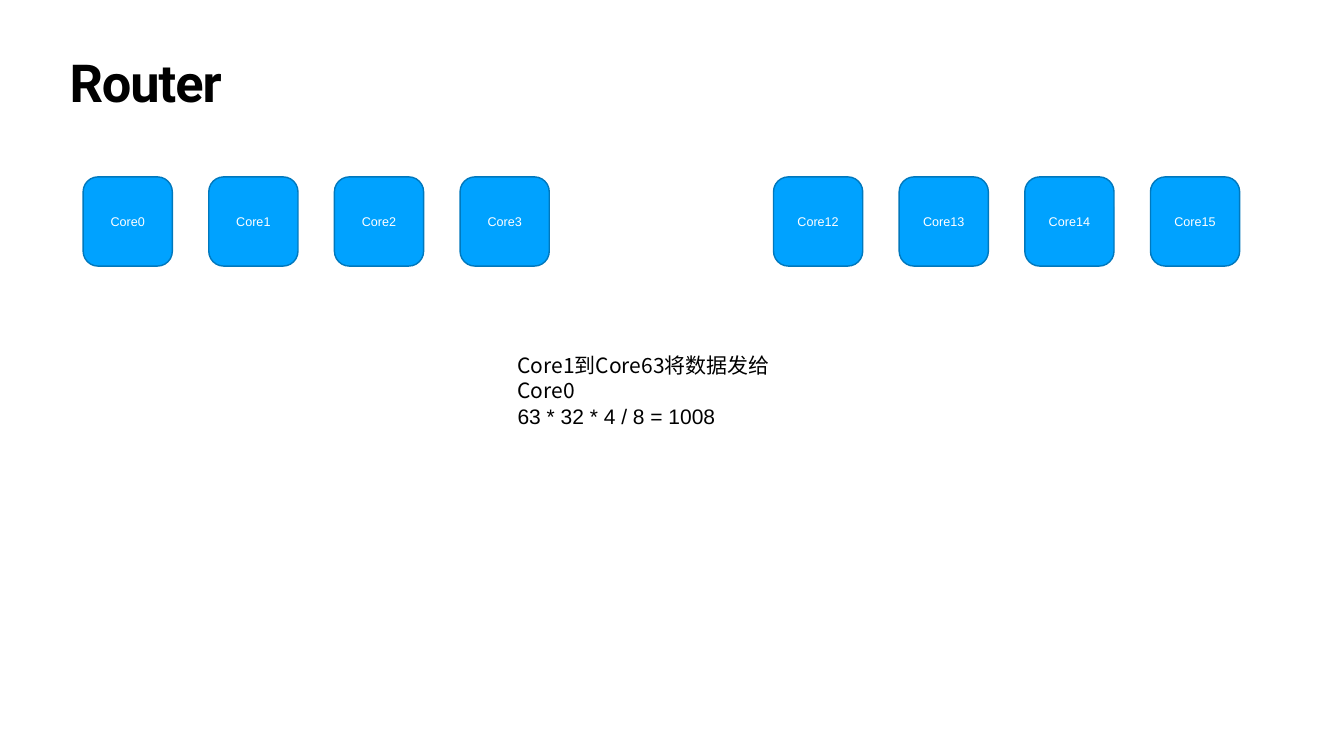
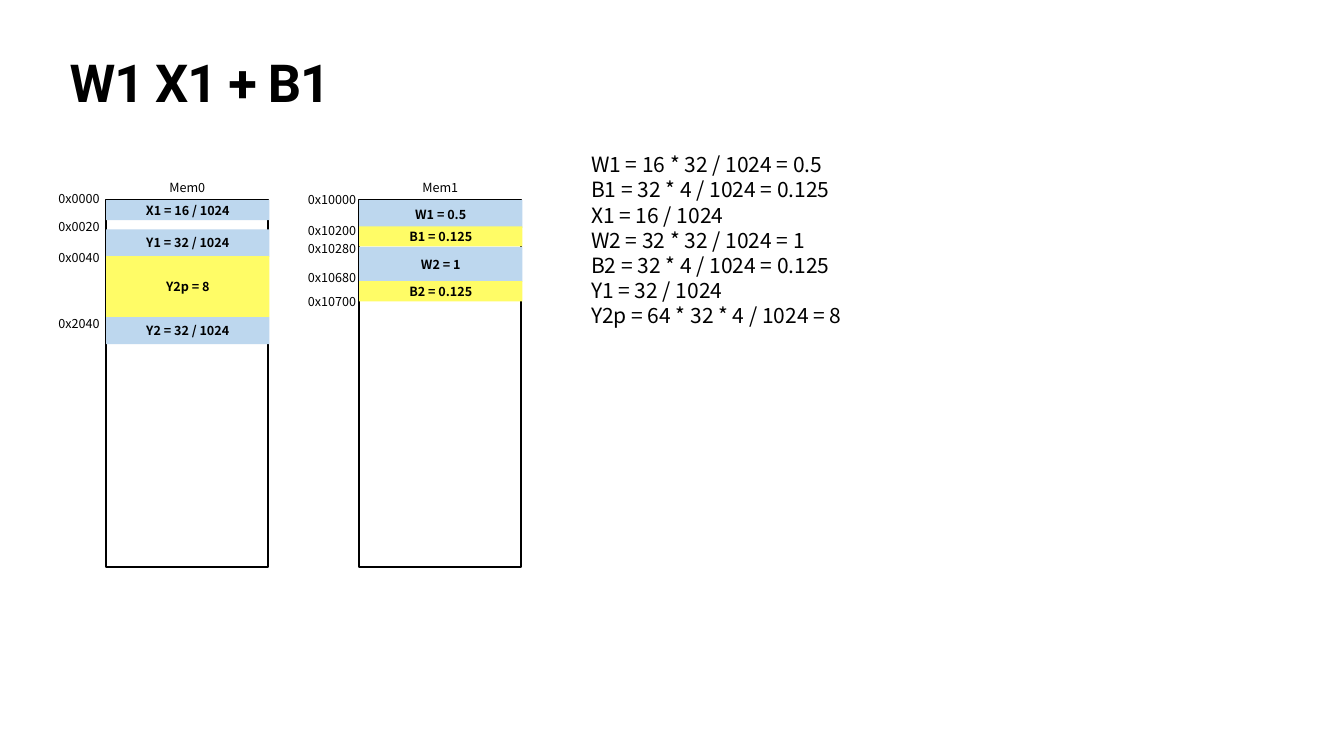
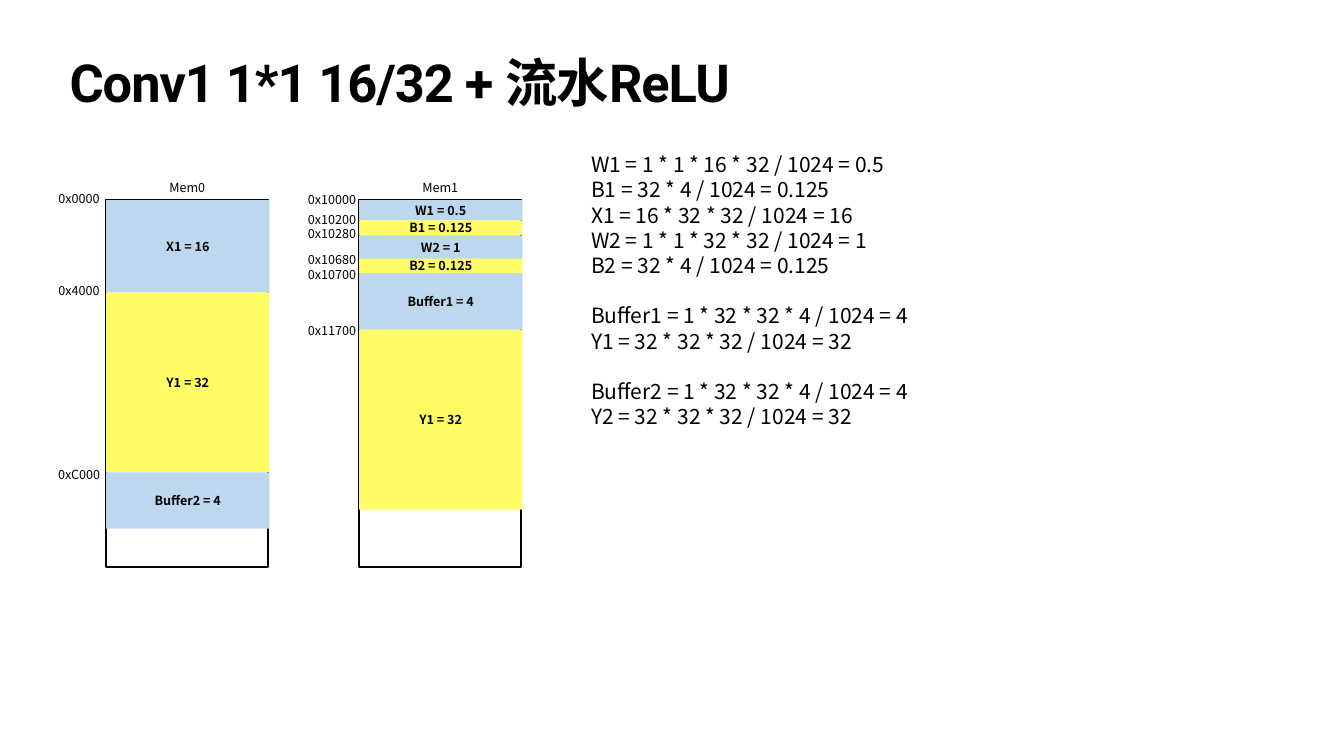
from pptx import Presentation
from pptx.dml.color import RGBColor as RGB
from pptx.enum.shapes import MSO_SHAPE as SHAPE
from pptx.enum.text import MSO_ANCHOR as ANCHOR, MSO_AUTO_SIZE as AUTO, PP_ALIGN as ALIGN
from pptx.oxml.ns import qn
from pptx.util import Inches, Pt
from lxml import etree

BLACK, WHITE = RGB(0, 0, 0), RGB(255, 255, 255)
CORE_FILL, CORE_LINE = RGB(0x00, 0xA2, 0xFF), RGB(0x00, 0x78, 0xBD)
BLUE, YELLOW = RGB(0xBD, 0xD7, 0xEE), RGB(0xFF, 0xFC, 0x66)
SANS, CJK, HEAD = "Arial", "Noto Sans CJK SC", "Roboto"

# Square grid: 80 columns by 45 rows
WIDTH, HEIGHT = Inches(26.67), Inches(15)
ROWS = 45
MEM_W, MEM_H, MEM_TOP = 9.66, 21.87, 11.88
MEM0_X, MEM1_X = 6.3, 21.36
LABEL_W, LABEL_H = 3.3, 1.2
CORE_SIZE, CORE_PITCH = 5.31, 7.48


def grid(*units):
    return [round(u * HEIGHT / ROWS) for u in units]


def write(tf, text, size=18, font=CJK, color=BLACK, bold=False, align=ALIGN.LEFT,
          anchor=ANCHOR.TOP, inset=0.05, auto=AUTO.NONE, leading=None, tracking=None,
          gap=36, fonts=()):
    """Fill a frame line by line; an empty line becomes a gap before the next one."""
    tf.word_wrap, tf.auto_size, tf.vertical_anchor = True, auto, anchor
    tf.margin_left = tf.margin_right = tf.margin_top = tf.margin_bottom = Inches(inset)
    p, before = None, 0
    for i, line in enumerate(text.split("\n")):
        if not line:
            before = gap
            continue
        p = tf.add_paragraph() if p is not None else tf.paragraphs[0]
        p.alignment, p.space_before = align, Pt(before)
        before = 0
        if leading:
            p.line_spacing = leading
        r = p.add_run()
        r.text = line
        f = r.font
        f.size, f.bold, f.color.rgb = Pt(size), bold, color
        f.name = fonts[i] if fonts else font
        rpr = r._r.get_or_add_rPr()
        etree.SubElement(rpr, qn("a:ea")).set("typeface", CJK)
        if tracking:
            rpr.set("spc", str(tracking))


def add_text(shapes, box, text, **fmt):
    tb = shapes.add_textbox(*grid(*box))
    write(tb.text_frame, text, **fmt)


def add_box(shapes, kind, box, fill=None, line=None, weight=2.0):
    s = shapes.add_shape(kind, *grid(*box))
    s.shadow.inherit = False
    if fill is None:
        s.fill.background()
    else:
        s.fill.solid()
        s.fill.fore_color.rgb = fill
    if line is None:
        s.line.fill.background()
    else:
        s.line.color.rgb, s.line.width = line, Pt(weight)
    return s


def titled_slide(prs, title):
    slide = prs.slides.add_slide(prs.slide_layouts[5])
    t = slide.shapes.title
    t.left, t.top, t.width, t.height = grid(3.96, 3.54, 72.09, 4.71)
    write(t.text_frame, title, size=74.8, font=HEAD, bold=True, inset=0.06,
          leading=0.8, tracking=-150)
    return slide


def core_row(slide, left, top, first, count=4):
    for i in range(count):
        box = left + i * CORE_PITCH, top, CORE_SIZE, CORE_SIZE
        s = add_box(slide.shapes, SHAPE.ROUNDED_RECTANGLE, box, CORE_FILL, CORE_LINE)
        write(s.text_frame, f"Core{first + i}", font=SANS, color=WHITE,
              align=ALIGN.CENTER, anchor=ANCHOR.MIDDLE)


def memory_block(slide, left, top, height, text, fill):
    g = slide.shapes.add_group_shape()
    width = MEM_W + 0.06
    add_box(g.shapes, SHAPE.RECTANGLE, (left, top, width, height), fill)
    share = 0.5 if fill == BLUE else 0.93
    inner = left + 0.27, top + height * (1 - share) / 2, width - 0.54, height * share
    add_text(g.shapes, inner, text, bold=True, align=ALIGN.CENTER, anchor=ANCHOR.MIDDLE)


def memory_map(slide, left, name, blocks, addresses):
    """Draw a memory column; block and address rows count from its top edge."""
    shapes, top = slide.shapes, MEM_TOP
    label = dict(align=ALIGN.CENTER, auto=AUTO.SHAPE_TO_FIT_TEXT)
    add_text(shapes, (left + 3.2, top - 1.3, LABEL_W, LABEL_H), name, **label)
    add_box(shapes, SHAPE.RECTANGLE, (left, top, MEM_W, MEM_H), line=BLACK, weight=2.25)
    for text, row, height, fill in blocks:
        memory_block(slide, left + 0.02, top + row, height, text, fill)
    for text, row in addresses:
        add_text(shapes, (left - 3.24, top + row, LABEL_W, LABEL_H), text, **label)


def formulas(slide, text, height):
    add_text(slide.shapes, (35.04, 8.88, 39.9, height), text, size=30,
             auto=AUTO.SHAPE_TO_FIT_TEXT)


def router_slide(prs):
    slide = titled_slide(prs, "Router")
    add_text(slide.shapes, (30.66, 20.85, 18.66, 3.33),
             "Core1到Core63将数据发给Core0\n63 * 32 * 4 / 8 = 1008",
             size=30, fonts=(CJK, SANS), auto=AUTO.SHAPE_TO_FIT_TEXT)
    for left, first in ((4.95, 0), (46.05, 12)):
        core_row(slide, left, 10.53, first)


def memory_slide(prs, title, mem0, mem1, text, text_height):
    slide = titled_slide(prs, title)
    memory_map(slide, MEM0_X, "Mem0", *mem0)
    memory_map(slide, MEM1_X, "Mem1", *mem1)
    formulas(slide, text, text_height)


# Each memory: blocks (text, row, height, fill), then addresses (text, row)
LINEAR_MEM0 = (
    [("X1 = 16 / 1024", 0.03, 1.2, BLUE), ("Y1 = 32 / 1024", 1.77, 1.62, BLUE),
     ("Y2p = 8", 3.36, 3.63, YELLOW), ("Y2 = 32 / 1024", 6.99, 1.62, BLUE)],
    [("0x0000", -0.66), ("0x0020", 1.02), ("0x0040", 2.85), ("0x2040", 6.75)])
LINEAR_MEM1 = (
    [("W1 = 0.5", 0.03, 1.65, BLUE), ("B1 = 0.125", 1.59, 1.2, YELLOW),
     ("W2 = 1", 2.82, 2.07, BLUE), ("B2 = 0.125", 4.86, 1.2, YELLOW)],
    [("0x10000", -0.63), ("0x10200", 1.23), ("0x10280", 2.31),
     ("0x10680", 4.05), ("0x10700", 5.49)])
LINEAR_TEXT = """W1 = 16 * 32 / 1024 = 0.5
B1 = 32 * 4 / 1024 = 0.125
X1 = 16 / 1024
W2 = 32 * 32 / 1024 = 1
B2 = 32 * 4 / 1024 = 0.125
Y1 = 32 / 1024
Y2p = 64 * 32 * 4 / 1024 = 8"""

CONV_MEM0 = (
    [("X1 = 16", 0.03, 5.49, BLUE), ("Y1 = 32", 5.52, 10.71, YELLOW),
     ("Buffer2 = 4", 16.23, 3.36, BLUE)],
    [("0x0000", -0.66), ("0x4000", 4.83), ("0xC000", 15.75)])
CONV_MEM1 = (
    [("W1 = 0.5", 0.03, 1.2, BLUE), ("B1 = 0.125", 1.23, 0.87, YELLOW),
     ("W2 = 1", 2.13, 1.44, BLUE), ("B2 = 0.125", 3.51, 0.87, YELLOW),
     ("Buffer1 = 4", 4.38, 3.36, BLUE), ("Y1 = 32", 7.74, 10.71, YELLOW)],
    [("0x10000", -0.63), ("0x10200", 0.6), ("0x10280", 1.41),
     ("0x10680", 2.97), ("0x10700", 3.84), ("0x11700", 7.2)])
CONV_TEXT = """W1 = 1 * 1 * 16 * 32 / 1024 = 0.5
B1 = 32 * 4 / 1024 = 0.125
X1 = 16 * 32 * 32 / 1024 = 16
W2 = 1 * 1 * 32 * 32 / 1024 = 1
B2 = 32 * 4 / 1024 = 0.125

Buffer1 = 1 * 32 * 32 * 4 / 1024 = 4
Y1 = 32 * 32 * 32 / 1024 = 32

Buffer2 = 1 * 32 * 32 * 4 / 1024 = 4
Y2 = 32 * 32 * 32 / 1024 = 32"""


def main():
    prs = Presentation()
    prs.slide_width, prs.slide_height = WIDTH, HEIGHT
    router_slide(prs)
    memory_slide(prs, "W1 X1 + B1", LINEAR_MEM0, LINEAR_MEM1, LINEAR_TEXT, 13.92)
    memory_slide(prs, "Conv1 1*1 16/32 + 流水ReLU", CONV_MEM0, CONV_MEM1, CONV_TEXT, 16.95)
    prs.save("out.pptx")


if __name__ == "__main__":
    main()
